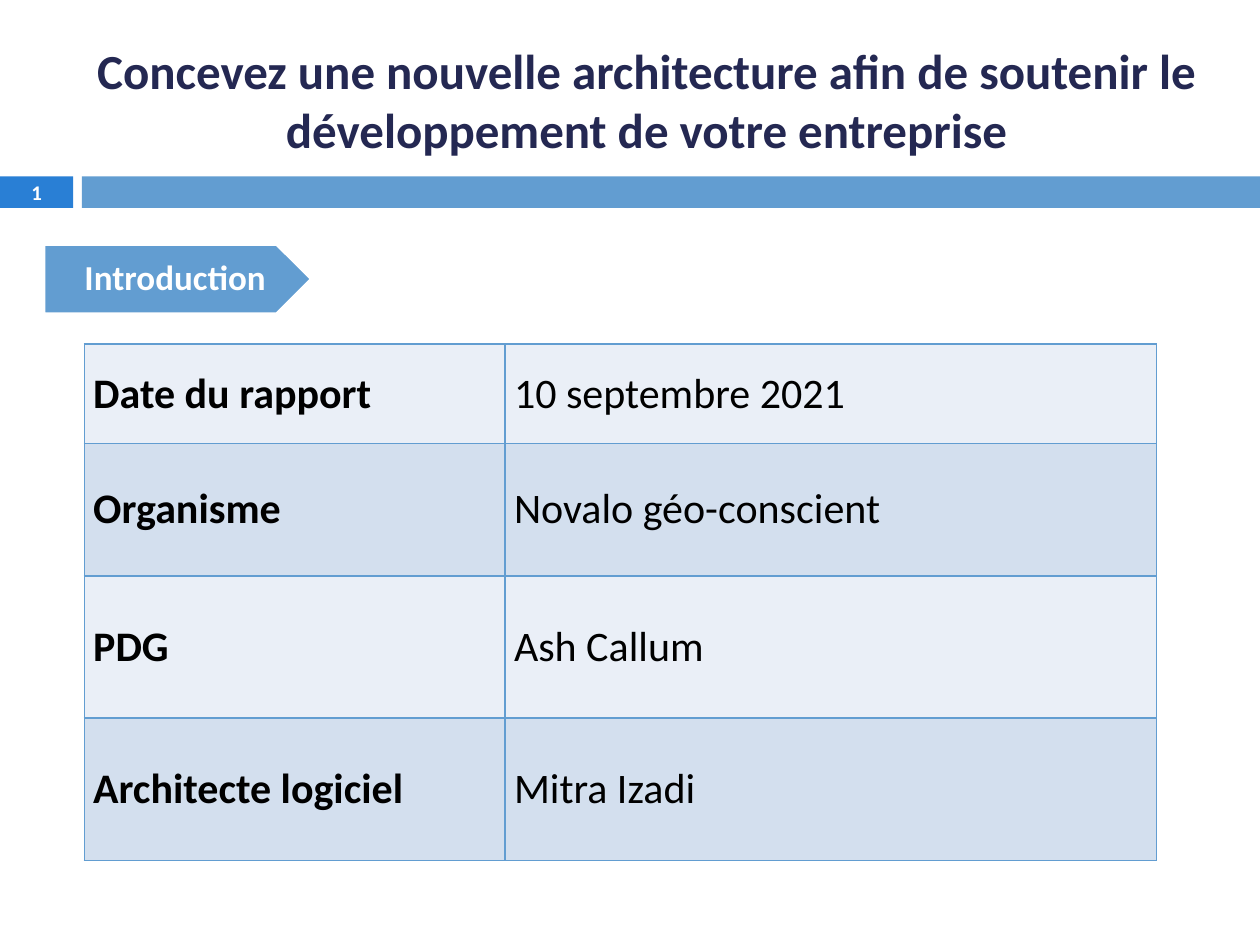
from lxml import etree
from pptx import Presentation
from pptx.dml.color import RGBColor
from pptx.enum.shapes import MSO_SHAPE as Shape
from pptx.enum.text import MSO_ANCHOR as Anchor, PP_ALIGN as Align
from pptx.oxml.ns import qn
from pptx.util import Inches, Pt

FONT = "Calibri"
COLORS = {
    "navy": "242852",
    "bright": "297FD5",
    "blue": "629DD1",
    "white": "FFFFFF",
    "black": "000000",
    "light_row": "EAEFF7",
    "dark_row": "D3DFEE",
}
FACTS = [
    ("Date du rapport", "10 septembre 2021"),
    ("Organisme", "Novalo géo-conscient"),
    ("PDG", "Ash Callum"),
    ("Architecte logiciel", "Mitra Izadi"),
]
COLUMN_WIDTHS = [3.34, 5.17]
ROW_HEIGHTS = [0.79, 1.05, 1.13, 1.13]


def color(name):
    return RGBColor.from_string(COLORS[name])


def format_text(frame, size, ink, bold=True, align=Align.CENTER):
    for para in frame.paragraphs:
        para.alignment = align
        for span in para.runs:
            span.font.name = FONT
            span.font.size = Pt(size)
            span.font.bold = bold
            span.font.color.rgb = color(ink)


def add_block(page, kind, place, fill, line=None):
    block = page.shapes.add_shape(kind, *map(Inches, place))
    block.shadow.inherit = False
    block.fill.solid()
    block.fill.fore_color.rgb = color(fill)
    if line:
        block.line.color.rgb = color(line)
        block.line.width = Pt(1.5)
    else:
        block.line.fill.background()
    return block


def add_label(page, text, place, size, ink, insets=(0.1, 0.05, 0.1, 0.05)):
    box = page.shapes.add_textbox(*map(Inches, place))
    frame = box.text_frame
    frame.word_wrap = True
    frame.vertical_anchor = Anchor.MIDDLE
    (frame.margin_left, frame.margin_top,
     frame.margin_right, frame.margin_bottom) = map(Inches, insets)
    frame.text = text
    format_text(frame, size, ink)
    return box


def set_borders(cell, name, width):
    properties = cell._tc.get_or_add_tcPr()
    for index, side in enumerate(("a:lnL", "a:lnR", "a:lnT", "a:lnB")):
        line = etree.Element(qn(side), w=str(Pt(width)))
        fill = etree.SubElement(line, qn("a:solidFill"))
        etree.SubElement(fill, qn("a:srgbClr"), val=COLORS[name])
        properties.insert(index, line)


def fill_cell(cell, text, fill, bold):
    cell.fill.solid()
    cell.fill.fore_color.rgb = color(fill)
    cell.vertical_anchor = Anchor.MIDDLE
    cell.margin_left = cell.margin_right = Inches(0.07)
    cell.margin_top = cell.margin_bottom = 0
    cell.text_frame.text = text
    format_text(cell.text_frame, 24, "black", bold, Align.LEFT)
    para = cell.text_frame.paragraphs[0]
    para.space_before = para.space_after = Pt(3)
    set_borders(cell, "blue", 1)


def add_facts_table(page, left, top):
    size = (sum(COLUMN_WIDTHS), sum(ROW_HEIGHTS))
    table = page.shapes.add_table(
        len(FACTS), len(COLUMN_WIDTHS), *map(Inches, (left, top, *size))).table
    table.first_row = False
    table.horz_banding = False
    for column, width in zip(table.columns, COLUMN_WIDTHS):
        column.width = Inches(width)
    for index, (height, fact) in enumerate(zip(ROW_HEIGHTS, FACTS)):
        table.rows[index].height = Inches(height)
        fill = "dark_row" if index % 2 else "light_row"
        for position, text in enumerate(fact):
            fill_cell(table.cell(index, position), text, fill, position == 0)


def main():
    deck = Presentation()
    deck.slide_width = Inches(10)
    deck.slide_height = Inches(7.5)
    page = deck.slides.add_slide(deck.slide_layouts[6])

    # Header band and title
    add_block(page, Shape.RECTANGLE, (0, 1.4, 0.58, 0.25), "bright")
    add_block(page, Shape.RECTANGLE, (0.65, 1.4, 9.35, 0.25), "blue")
    add_label(page, "Concevez une nouvelle architecture afin de soutenir le "
              "développement de votre entreprise",
              (0.67, 0.25, 8.92, 1.08), 28, "navy")

    # Section arrow
    add_block(page, Shape.PENTAGON, (0.35, 1.94, 2.12, 0.55), "blue", "white")
    section = add_label(page, "Introduction", (0.35, 1.94, 1.99, 0.55), 20,
                        "white", (0.12, 0.06, 0.03, 0.06))
    section.text_frame.paragraphs[0].line_spacing = 0.9

    # Report facts
    add_facts_table(page, 0.67, 2.73)

    # Page number
    add_label(page, "1", (0, 1.39, 0.58, 0.27), 11.9, "white")

    deck.save("out.pptx")


main()
